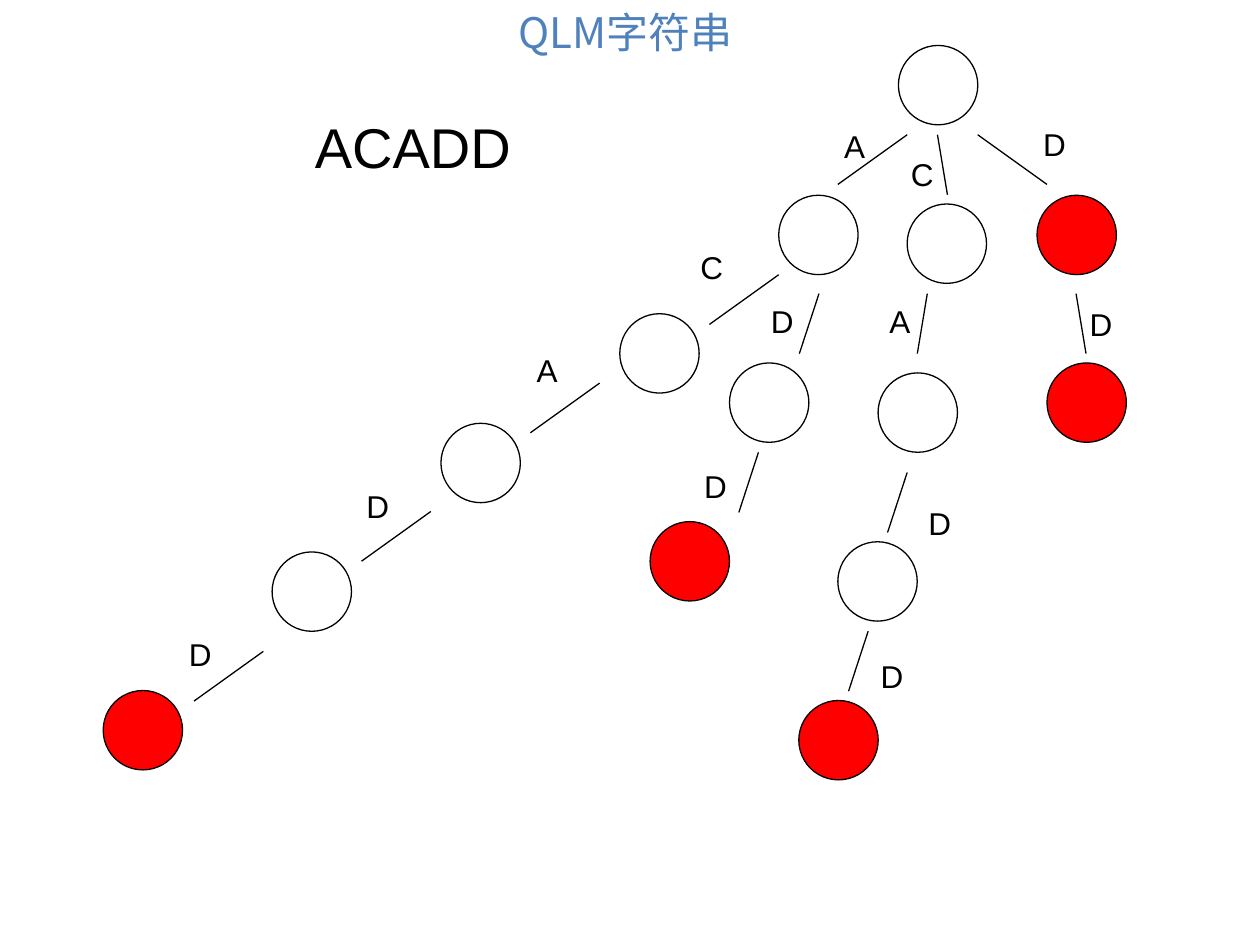
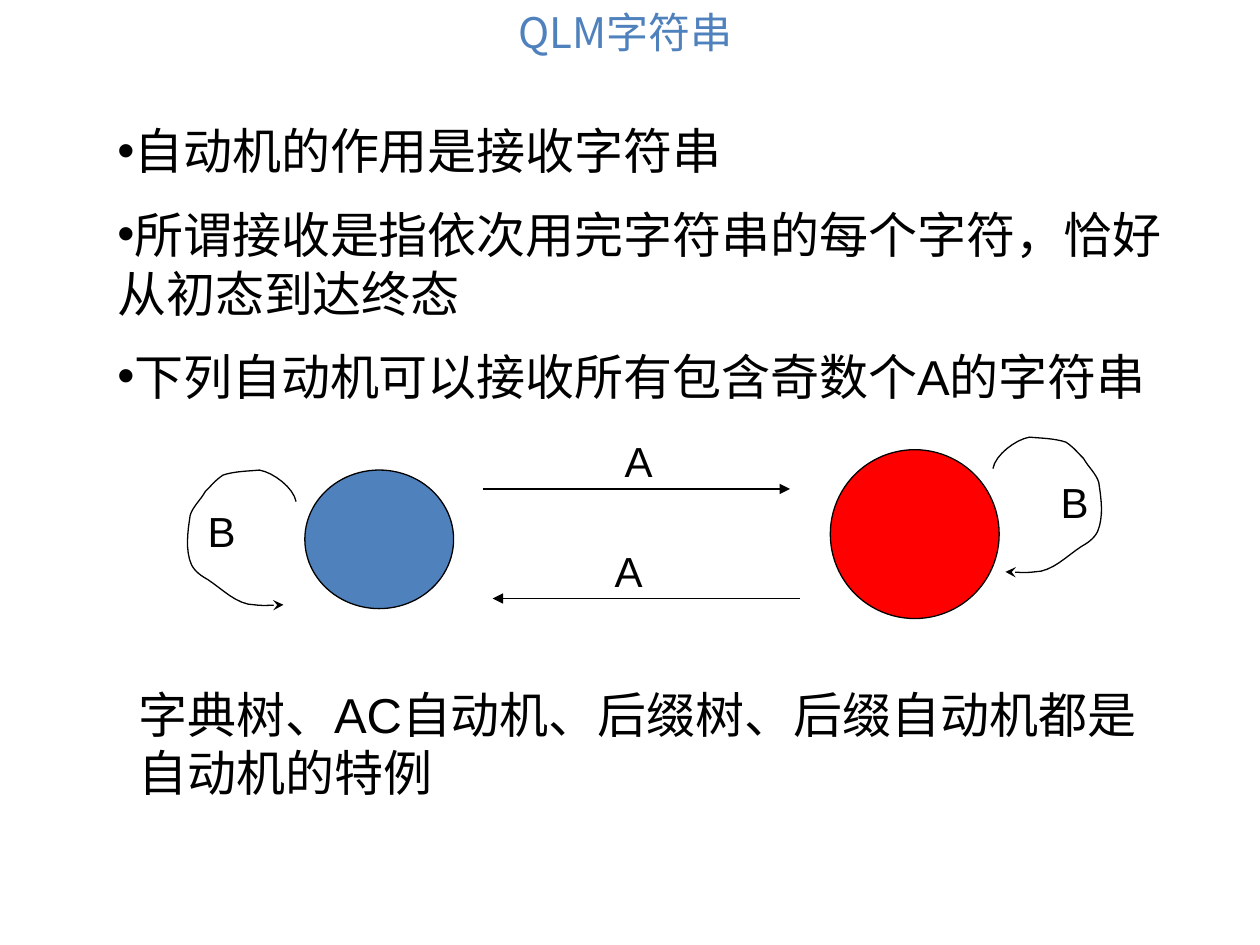
from pptx import Presentation
from pptx.dml.color import RGBColor
from pptx.enum.shapes import MSO_CONNECTOR as Conn, MSO_SHAPE as Kind
from pptx.enum.text import MSO_ANCHOR as Anchor, MSO_AUTO_SIZE as Fit, PP_ALIGN as Align
from pptx.oxml.ns import qn
from pptx.util import Pt
from lxml.etree import SubElement as Sub

BLACK = RGBColor(0, 0, 0)
WHITE = RGBColor(255, 255, 255)
RED = RGBColor(255, 0, 0)
BLUE = RGBColor(0x4F, 0x81, 0xBD)
HAN = "Noto Sans CJK SC"
TITLE = "QLM字符串"
DISC = 45.36

# Trie nodes: prefix -> circle corner, edge start, edge span, letter corner
TREE = {
    "A": ((386, 85.6), (459.4, 51), (-39.6, 28.4), (416.2, 43.1)),
    "C": ((459.4, 90.6), (476.7, 51), (5.7, 34.3), (454.4, 59)),
    "D": ((533.6, 85.6), (499.7, 51), (39.6, 28.4), (530, 41.7)),
    "AC": ((295.2, 153.3), (386, 131), (-39.6, 28.4), (334.1, 112.2)),
    "AD": ((357.9, 181.4), (409, 141.8), (-11.2, 34.3), (374.4, 143.2)),
    "CA": ((442.8, 187.1), (470.9, 141.8), (-5.7, 34.3), (442.1, 143.2)),
    "DD": ((539.3, 181.4), (555.9, 141.8), (5.7, 34.3), (556.6, 144.6)),
    "ACA": ((193, 215.9), (283.7, 192.9), (-39.6, 28.4), (240.5, 171.3)),
    "ADD": ((312.5, 272.1), (374.4, 232.5), (-11.2, 34.3), (336.3, 237.5)),
    "CAD": ((419.8, 283.6), (459.4, 244), (-11.2, 34.3), (464.4, 258.4)),
    "ACAD": ((96.5, 289.4), (187.2, 266.3), (-39.6, 28.4), (143.3, 249)),
    "CADD": ((397.5, 374.3), (437.1, 334.7), (-11.2, 34.3), (437.1, 346.2)),
    "ACADD": ((0, 368.6), (91.5, 346.2), (-39.6, 28.4), (41.8, 333.3)),
}

# Bezier points of a self loop, from its start: two handles, then an end
LOOP = [(0, 0),
        (1.4, -7.9), (13, -16.6), (20.9, -18),
        (28.1, -17.3), (35.3, -17.3), (41.8, -15.1),
        (46.8, -11.5), (47.5, -10.1), (51.8, -5.8),
        (54.7, -0.7), (59, 2.9), (60.5, 7.9),
        (61.9, 17.3), (63.4, 27.4), (59.8, 36),
        (57.6, 40.3), (54, 42.5), (50.4, 44.6),
        (42.5, 49.7), (33.8, 59), (23.8, 59),
        (18, 59.8), (13, 59), (7.2, 59)]


def put(obj, **vals):
    for key, val in vals.items():
        setattr(obj, key, val)


def place(shape, box):
    put(shape, **dict(zip(("left", "top", "width", "height"), map(Pt, box))))


def shift(box, spot):
    return box[0] + spot[0], box[1] + spot[1]


def write(frame, lines, size, font="Arial", color=BLACK, gap=0, align=Align.LEFT,
          wrap=True, anchor=Anchor.TOP):
    put(frame, text="\n".join(lines), word_wrap=wrap, auto_size=Fit.NONE,
        vertical_anchor=anchor)
    for para in frame.paragraphs:
        put(para, alignment=align, space_before=Pt(gap), line_spacing=1.0)
        for run in para.runs:
            put(run.font, size=Pt(size), name=font)
            run.font.color.rgb = color
            Sub(run.font._element, qn("a:ea"), typeface=HAN)


def label(slide, text, box, size, **look):
    area = slide.shapes.add_textbox(*map(Pt, box))
    write(area.text_frame, [text], size, **look)


def ink(line, head=None):
    put(line, width=Pt(0.75))
    line.color.rgb = BLACK
    if head:
        Sub(line._get_or_add_ln(), qn("a:tailEnd"), type=head)


def disc(slide, spot, size, color):
    oval = slide.shapes.add_shape(Kind.OVAL, *map(Pt, (*spot, *size)))
    oval.shadow.inherit = False
    oval.fill.solid()
    oval.fill.fore_color.rgb = color
    ink(oval.line)


def edge(slide, start, span, head=None):
    ends = (*start, *shift(start, span))
    wire = slide.shapes.add_connector(Conn.STRAIGHT, *map(Pt, ends))
    ink(wire.line, head)
    Sub(wire._element.spPr, qn("a:effectLst"))


def loop(slide, start, side):
    """Draw a self loop; side is 1 to the right and -1 to the left."""
    dots = []
    for i in range(0, len(LOOP) - 1, 3):
        for step in range(1, 9):
            t = step / 8
            mix = ((1 - t) ** 3, 3 * t * (1 - t) ** 2, 3 * t * t * (1 - t), t ** 3)
            x, y = (sum(m * p[k] for m, p in zip(mix, LOOP[i:i + 4])) for k in (0, 1))
            dots.append(tuple(map(Pt, shift(start, (side * x, y)))))
    pen = slide.shapes.build_freeform(*map(Pt, start))
    pen.add_line_segments(dots, close=False)
    curve = pen.convert_to_shape()
    curve.shadow.inherit = False
    curve.fill.background()
    ink(curve.line, "stealth")


def page(deck, layout):
    slide = deck.slides.add_slide(deck.slide_layouts[layout])
    title = slide.shapes.title
    place(title, (283.7, 0, 147.6, 36))
    write(title.text_frame, [TITLE], 24, font=HAN, color=BLUE,
          align=Align.CENTER, wrap=False)
    return slide


def trie(slide, box):
    disc(slide, shift(box, (454.4, 0)), (DISC, DISC), WHITE)
    for word, (node, start, span, spot) in TREE.items():
        # Every suffix of the word is a final state
        color = RED if "ACADD".endswith(word) else WHITE
        edge(slide, shift(box, start), span)
        disc(slide, shift(box, node), (DISC, DISC), color)
        label(slide, word[-1], (*shift(box, spot), 29.5, 28.8), 18)


def points(slide, box):
    body = slide.placeholders[1]
    place(body, box)
    write(body.text_frame, ["自动机的作用是接收字符串",
                            "所谓接收是指依次用完字符串的每个字符\uff0c恰好从初态到达终态",
                            "下列自动机可以接收所有包含奇数个A的字符串"], 28, gap=14)
    for para in body.text_frame.paragraphs:
        props = para._p.get_or_add_pPr()
        for key in ("marL", "indent"):
            props.set(key, "0")
        Sub(props, qn("a:buChar"), char="•")


def machine(slide, box):
    # States
    disc(slide, shift(box, (68.2, 22.6)), (85, 79.2), BLUE)
    disc(slide, shift(box, (368.5, 11)), (96.5, 96.5), RED)
    # Moves between the states and back to themselves
    edge(slide, shift(box, (169.8, 33.4)), (175.7, 0), "triangle")
    edge(slide, shift(box, (351.2, 96)), (-175.7, 0), "triangle")
    loop(slide, shift(box, (461.4, 21.8)), 1)
    loop(slide, shift(box, (63.2, 40.6)), -1)
    for text, spot in (("A", (243.9, -0.5)), ("A", (238.2, 62.2)),
                       ("B", (5.6, 39.1)), ("B", (493, 22.6))):
        label(slide, text, (*shift(box, spot), 45.4, 36), 24, gap=12)


deck = Presentation()
put(deck, slide_width=Pt(720), slide_height=Pt(540))

# Suffix trie of one word
slide = page(deck, 5)
label(slide, "ACADD", (172.8, 60.5, 158.4, 45.4), 32, gap=16)
trie(slide, (59, 26))

# What an automaton accepts
slide = page(deck, 1)
points(slide, (59.8, 65.5, 617.8, 177))
machine(slide, (106, 246))
label(slide, "字典树、AC自动机、后缀树、后缀自动机都是自动机的特例", (72, 387.4, 594, 75), 28)

deck.save("out.pptx")
